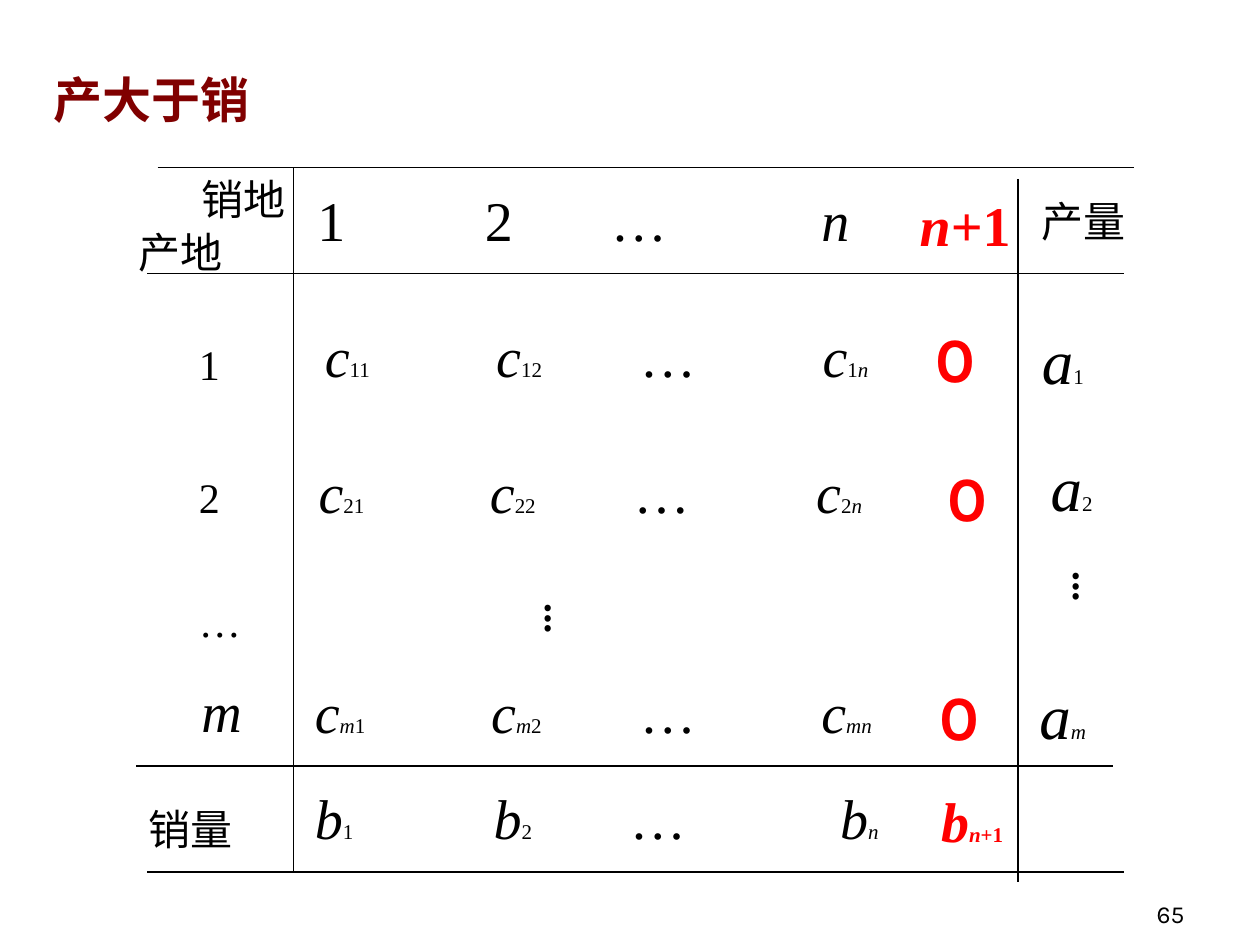
"""Build the transportation table slide for supply exceeding demand."""
from itertools import groupby

from lxml import etree
from pptx import Presentation
from pptx.dml.color import RGBColor
from pptx.enum import shapes, text
from pptx.oxml import ns
from pptx.util import Inches, Pt

COLORS = {"ink": "000000", "title": "800000", "extra": "FF0000"}
SANS, SERIF = "Karla", "Times New Roman"
SUBSCRIPT_SIZE = 12

RULES = [
    (1.25, 1.33, 9, 1.33), (1.17, 2.17, 8.92, 2.17),
    (1.17, 6.92, 8.92, 6.92), (1.08, 6.08, 8.83, 6.08),
    (2.33, 1.33, 2.33, 6.92), (8.08, 1.42, 8.08, 7),
]
CAPTIONS = [
    ("销地", 1.5, 1.33), ("产地", 1, 1.75),
    ("销量", 1.08, 6.33), ("产量", 8.17, 1.5),
]
ROW_LABELS = [("1", 0), ("2", 47), ("…", 42)]
COLUMN_ROWS = [
    (2.42, 1.42, ["1", "2", "…", "n"], (1.33, 2.33, 4)),
    (2.48, 2.5, ["c_11", "c_12", "…", "c_1n"], (1.36, 2.5, 3.95)),
    (2.43, 3.58, ["c_21", "c_22", "…", "c_2n"], (1.36, 2.5, 3.95)),
    (2.4, 5.33, ["c_m1", "c_m2", "…", "c_mn"], (1.4, 2.58, 4.02)),
    (2.4, 6.17, ["b_1", "b_2", "…", "b_n"], (1.42, 2.5, 4.17)),
]
SUPPLIES = [("a_1", 8.17, 2.5), ("a_2", 8.24, 3.51), ("a_m", 8.15, 5.32)]
ZERO_COSTS = [(7.33, 2.49), (7.42, 3.59), (7.36, 5.33)]
EXTRA_COLUMN = [("n+1", 7.2, 1.46, 2.13), ("b_n+1", 7.37, 6.19, 1.09)]
VERTICAL_DOTS = [(4.08, 4.69), (8.27, 4.44)]


def add_rule(slide, x1, y1, x2, y2):
    rule = slide.shapes.add_connector(
        shapes.MSO_CONNECTOR.STRAIGHT, *map(Inches, (x1, y1, x2, y2)))
    rule.line.color.rgb = RGBColor.from_string(COLORS["ink"])
    rule.line.width = Pt(0.75)
    etree.SubElement(rule._element.spPr, ns.qn("a:effectLst"))


def add_frame(slide, left, top, width, height):
    frame = slide.shapes.add_textbox(*map(Inches, (left, top, width, height))).text_frame
    frame.word_wrap = True
    return frame


def add_run(paragraph, words, size, font=SANS, color="ink", bold=False, italic=False):
    run = paragraph.add_run()
    run.text = words
    formats = {"size": Pt(size), "name": font, "bold": bold, "italic": italic}
    for name, value in formats.items():
        setattr(run.font, name, value)
    run.font.color.rgb = RGBColor.from_string(COLORS[color])


def add_term(paragraph, term, size, **style):
    base, _, subscript = term.partition("_")
    for part, part_size in ((base, size), (subscript, SUBSCRIPT_SIZE)):
        for is_variable, letters in groupby(part, str.isalpha):
            add_run(paragraph, "".join(letters), part_size, SERIF,
                    italic=is_variable, **style)


def add_tabs(paragraph, stops):
    tabs = etree.SubElement(paragraph._p.get_or_add_pPr(), ns.qn("a:tabLst"))
    for stop in stops:
        etree.SubElement(tabs, ns.qn("a:tab"), pos=str(Inches(stop)), algn="l")


def main():
    deck = Presentation()
    deck.slide_width, deck.slide_height = Inches(10), Inches(7.5)
    slide = deck.slides.add_slide(deck.slide_layouts[6])

    for rule in RULES:
        add_rule(slide, *rule)

    title = add_frame(slide, 0.33, 0.5, 4.83, 0.57)
    add_run(title.paragraphs[0], "产大于销", 28, color="title", bold=True)

    for caption, left, top in CAPTIONS:
        add_run(add_frame(slide, left, top, 1.17, 0.5).paragraphs[0], caption, 24)

    labels = add_frame(slide, 1.48, 2.64, 0.61, 2.5)
    for index, (label, gap) in enumerate(ROW_LABELS):
        paragraph = labels.add_paragraph() if index else labels.paragraphs[0]
        if gap:
            paragraph.space_before = Pt(gap)
        add_term(paragraph, label, 24)
    add_term(add_frame(slide, 1.5, 5.32, 1.06, 0.63).paragraphs[0], "m", 32)

    for left, top, terms, stops in COLUMN_ROWS:
        row = add_frame(slide, left, top, 4.83, 0.63).paragraphs[0]
        add_tabs(row, stops)
        for index, term in enumerate(terms):
            if index:
                add_run(row, "\t", 32, SERIF)
            add_term(row, term, 32)

    for supply, left, top in SUPPLIES:
        add_term(add_frame(slide, left, top, 1.17, 0.7).paragraphs[0], supply, 36)

    for left, top in ZERO_COSTS:
        zero = add_frame(slide, left, top, 1.17, 0.7).paragraphs[0]
        add_run(zero, "0", 36, color="extra", bold=True)

    for term, left, top, width in EXTRA_COLUMN:
        extra = add_frame(slide, left, top, width, 0.63).paragraphs[0]
        add_term(extra, term, 32, color="extra", bold=True)

    for left, top in VERTICAL_DOTS:
        dots = add_frame(slide, left, top, 0.74, 0.6)
        dots._txBody.bodyPr.set("vert", "eaVert")
        add_run(dots.paragraphs[0], "…", 32)

    number = add_frame(slide, 7.42, 6.92, 2.08, 0.5)
    number.vertical_anchor = text.MSO_ANCHOR.BOTTOM
    number.paragraphs[0].alignment = text.PP_ALIGN.RIGHT
    add_run(number.paragraphs[0], "65", 14)

    deck.save("out.pptx")


if __name__ == "__main__":
    main()
